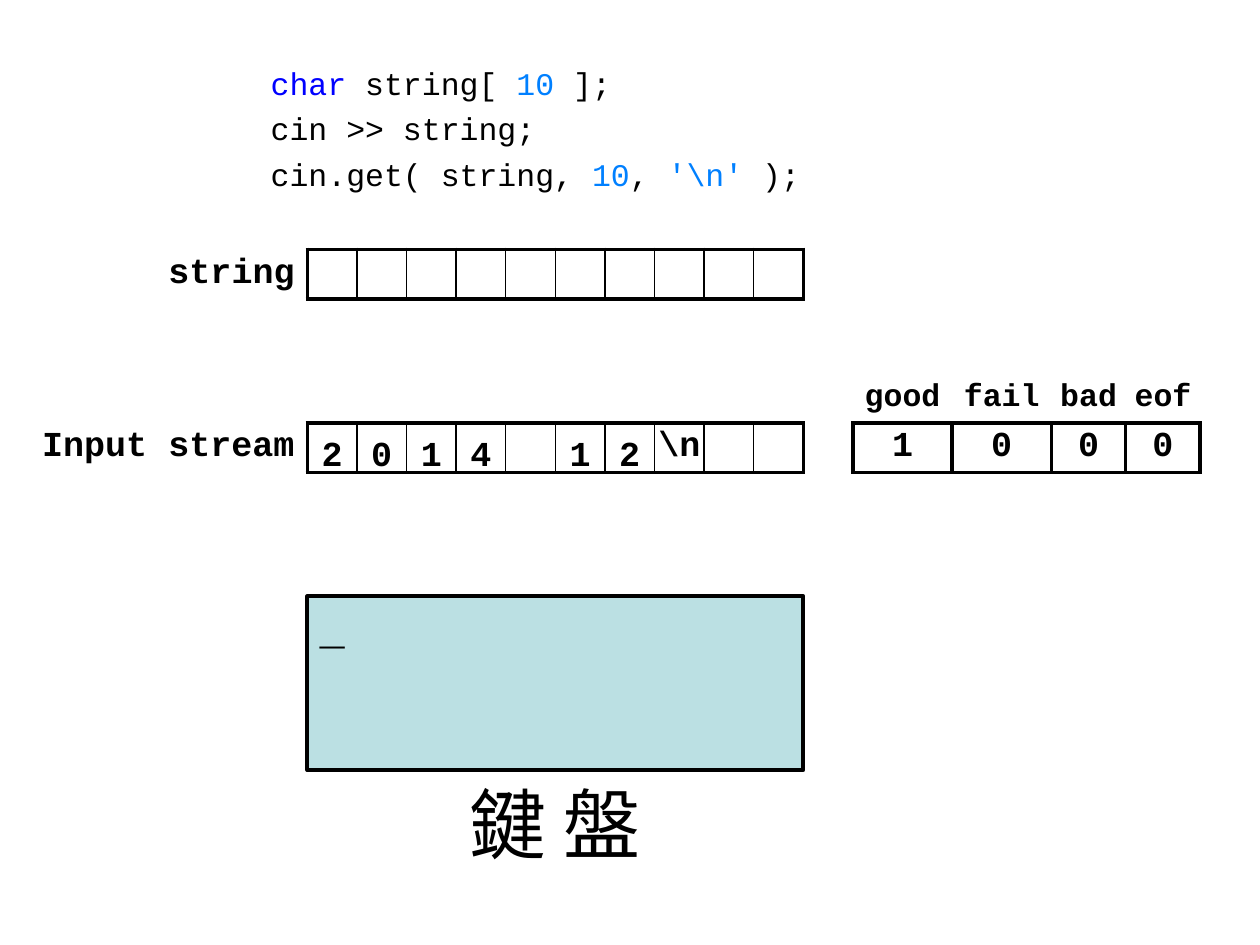
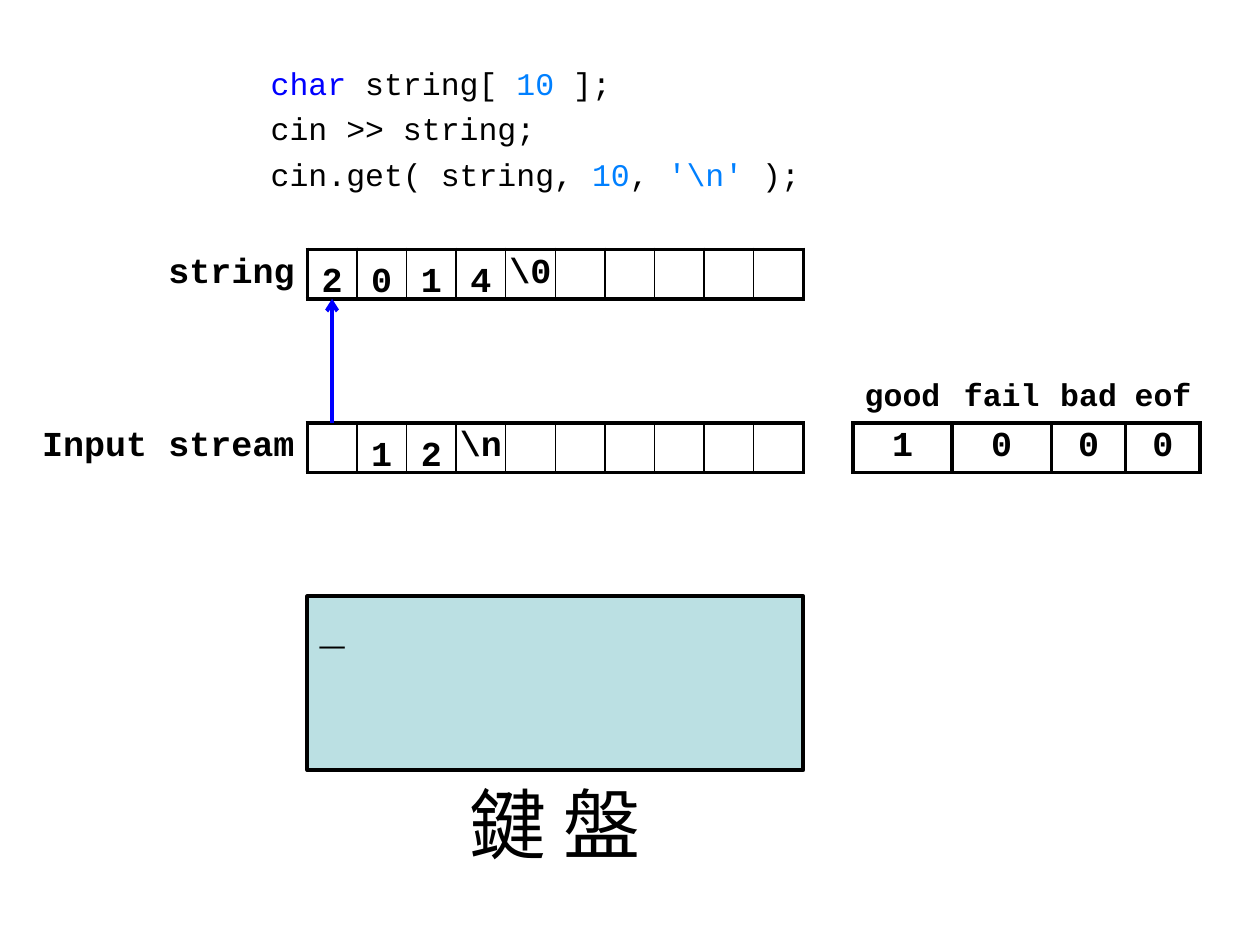
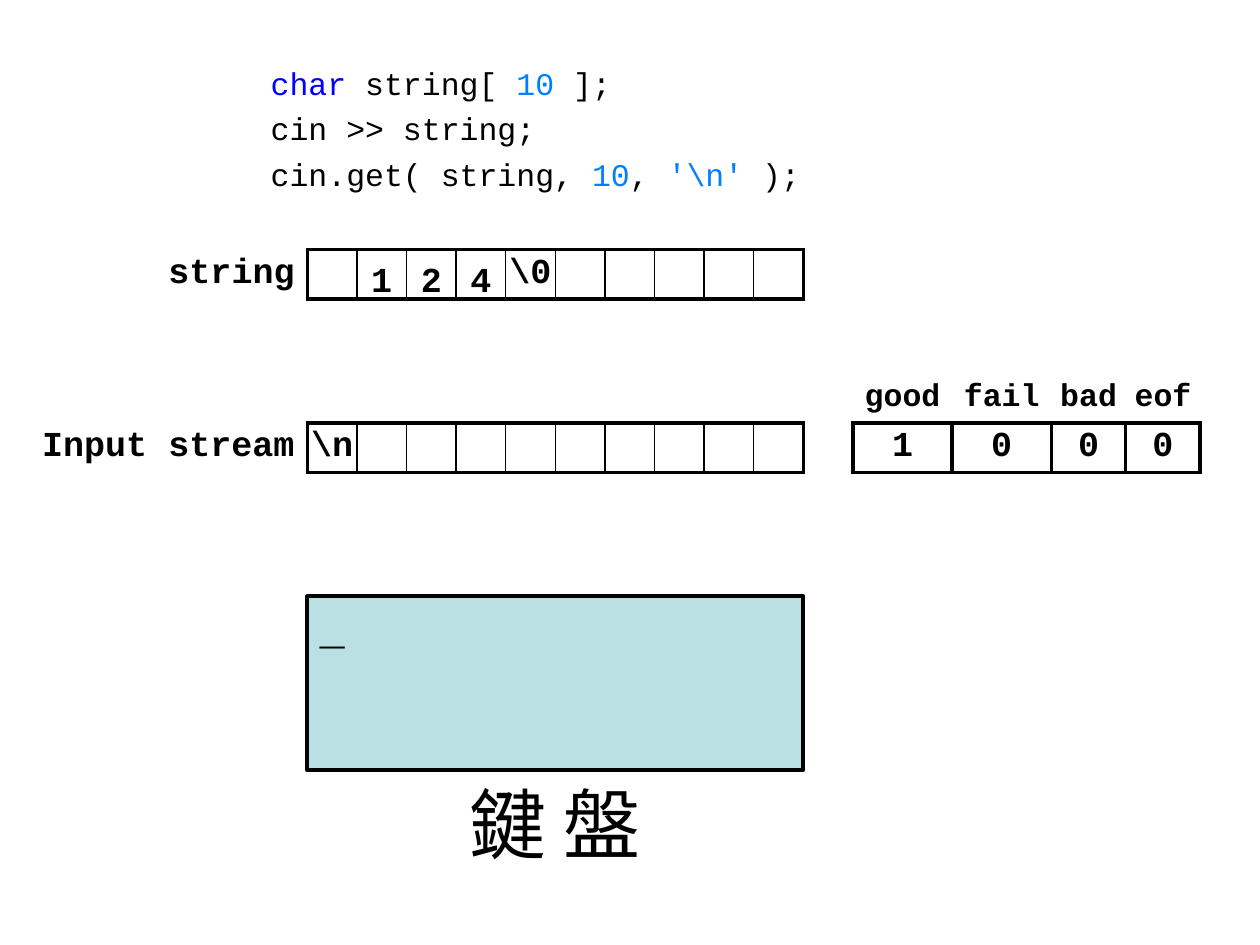
import pptx
import pptx.dml.color
import pptx.enum.shapes
import pptx.enum.text
import pptx.oxml
import pptx.oxml.ns
import pptx.util
from lxml import etree

Pt = pptx.util.Pt
RGBColor = pptx.dml.color.RGBColor
Align = pptx.enum.text.PP_ALIGN
Anchor = pptx.enum.text.MSO_ANCHOR
qn = pptx.oxml.ns.qn

BLACK = RGBColor(0x00, 0x00, 0x00)
KEYWORD = RGBColor(0x00, 0x00, 0xFF)
LITERAL = RGBColor(0x00, 0x80, 0xFF)
KEYBOARD_FILL = RGBColor(0xBB, 0xE0, 0xE3)
MONO = "Courier New"
CJK = "Noto Sans CJK SC"

# Content: one state per slide; escapes sit in table cells, digits float above
CODE = [
    [("char", KEYWORD), (" string[ ", BLACK), ("10", LITERAL), (" ];", BLACK)],
    [("cin >> string;", BLACK)],
    [("cin.get( string, ", BLACK), ("10", LITERAL), (", ", BLACK),
     ("'\\n'", LITERAL), (" );", BLACK)],
]
FLAGS = [("good", "1", 2), ("fail", "0", 2), ("bad", "0", 1.5), ("eof", "0", 1.5)]
STATES = [
    {"string": [], "stream": ["2", "0", "1", "4", "", "1", "2", "\\n"], "arrow": False},
    {"string": ["2", "0", "1", "4", "\\0"], "stream": ["", "1", "2", "\\n"], "arrow": True},
    {"string": ["", "1", "2", "4", "\\0"], "stream": ["\\n"], "arrow": False},
]

# Layout: everything follows the size of one array cell
SLOTS = 10
CELL = 28.35
BLOCK = 3.5 * CELL
ARRAY_LEFT = 175.6
STRING_TOP = 142.4
STREAM_TOP = STRING_TOP + BLOCK
KEYBOARD_TOP = STREAM_TOP + BLOCK
THICK, THIN = 2.25, 1
NO_STYLE = "{2D5ABB26-0587-4C30-8999-92F81FD0307C}"


def write_text(frame, text, size=20, bold=True, font=MONO, color=BLACK,
               align=Align.LEFT, space_before=0):
    """Text is a string, or a list of paragraphs made of (text, color) runs."""
    paragraphs = [[(text, color)]] if isinstance(text, str) else text
    for index, runs in enumerate(paragraphs):
        paragraph = frame.add_paragraph() if index else frame.paragraphs[0]
        paragraph.alignment = align
        if index:
            paragraph.space_before = Pt(space_before)
        for run_text, run_color in runs:
            run = paragraph.add_run()
            run.text = run_text
            run.font.size = Pt(size)
            run.font.bold = bold
            run.font.name = font
            run.font.color.rgb = run_color
            etree.SubElement(run.font._element, qn("a:ea"), typeface=font)


def set_frame(frame, margins=(7.2, 3.6, 7.2, 3.6), anchor=Anchor.TOP, wrap=True):
    frame.margin_left, frame.margin_top, frame.margin_right, frame.margin_bottom = map(Pt, margins)
    frame.vertical_anchor = anchor
    frame.word_wrap = wrap
    return frame


def add_text(slide, box, text, margins=(7.2, 3.6, 7.2, 3.6), anchor=Anchor.TOP,
             wrap=True, **text_format):
    frame = slide.shapes.add_textbox(*map(Pt, box)).text_frame
    write_text(set_frame(frame, margins, anchor, wrap), text, **text_format)


def add_plain_table(slide, left, top, widths, row_count):
    frame = slide.shapes.add_table(row_count, len(widths), Pt(left), Pt(top),
                                   Pt(sum(widths)), Pt(CELL * row_count))
    table = frame.table
    table.first_row = table.horz_banding = False
    table._tbl.tblPr.find(qn("a:tableStyleId")).text = NO_STYLE
    for column, width in zip(table.columns, widths):
        column.width = Pt(width)
    for row in table.rows:
        row.height = Pt(CELL)
    for cell in table.iter_cells():
        cell.fill.background()
        cell.margin_left = cell.margin_top = cell.margin_right = cell.margin_bottom = 0
        cell.vertical_anchor = Anchor.MIDDLE
    return table


def set_borders(cell, left=THICK, right=THICK):
    properties = cell._tc.get_or_add_tcPr()
    edges = [("L", left), ("R", right), ("T", THICK), ("B", THICK)]
    for position, (side, width) in enumerate(edges):
        line = etree.Element(qn("a:ln" + side), w=str(Pt(width)))
        fill = etree.SubElement(line, qn("a:solidFill"))
        etree.SubElement(fill, qn("a:srgbClr"), val=str(BLACK))
        properties.insert(position, line)


def fill_array(table, row, label, values):
    """Write the label in the first column and the bordered slots after it."""
    label_cell = table.cell(row, 0)
    label_cell.margin_right = Pt(7.2)
    write_text(label_cell.text_frame, label, align=Align.RIGHT)
    for slot in range(SLOTS):
        cell = table.cell(row, slot + 1)
        set_borders(cell, THIN if slot else THICK, THIN if slot < SLOTS - 1 else THICK)
        if slot < len(values) and len(values[slot]) > 1:
            write_text(cell.text_frame, values[slot], align=Align.CENTER)


def add_string(slide, values):
    label_width = 3 * CELL
    table = add_plain_table(slide, ARRAY_LEFT - label_width, STRING_TOP,
                            [label_width] + [CELL] * SLOTS, 1)
    fill_array(table, 0, "string", values)


def add_stream(slide, values):
    label_width = 5.5 * CELL
    flag_widths = [cells * CELL for _, _, cells in FLAGS]
    table = add_plain_table(slide, ARRAY_LEFT - label_width, STREAM_TOP - CELL,
                            [label_width] + [CELL] * (SLOTS + 1) + flag_widths, 2)
    fill_array(table, 1, "Input stream", values)
    for column, (name, value, _) in enumerate(FLAGS, start=SLOTS + 2):
        write_text(table.cell(0, column).text_frame, name, size=18, align=Align.CENTER)
        write_text(table.cell(1, column).text_frame, value, align=Align.CENTER)
        set_borders(table.cell(1, column))


def add_digits(slide, top, values):
    for slot, value in enumerate(values):
        if len(value) == 1:
            add_text(slide, (ARRAY_LEFT + slot * CELL, top, CELL, CELL), value,
                     margins=(0, 5.7, 0, 0), anchor=Anchor.MIDDLE, align=Align.CENTER)


def add_keyboard(slide):
    box = (ARRAY_LEFT, KEYBOARD_TOP, SLOTS * CELL, BLOCK)
    shape = slide.shapes.add_shape(pptx.enum.shapes.MSO_SHAPE.RECTANGLE, *map(Pt, box))
    shape.shadow.inherit = False
    shape.fill.solid()
    shape.fill.fore_color.rgb = KEYBOARD_FILL
    shape.line.color.rgb = BLACK
    shape.line.width = Pt(THICK)
    write_text(set_frame(shape.text_frame, wrap=False), "_", size=24)


def add_arrow(slide):
    x = Pt(ARRAY_LEFT + CELL / 2)
    arrow = slide.shapes.add_connector(pptx.enum.shapes.MSO_CONNECTOR.STRAIGHT,
                                       x, Pt(STREAM_TOP), x, Pt(STRING_TOP + CELL))
    arrow.line.color.rgb = KEYWORD
    arrow.line.width = Pt(THICK)
    etree.SubElement(arrow.line._get_or_add_ln(), qn("a:tailEnd"), type="arrow")
    etree.SubElement(arrow._element.spPr, qn("a:effectLst"))


def build_slide(presentation, state):
    slide = presentation.slides.add_slide(presentation.slide_layouts[6])
    # Caption and code
    caption_width = 5 * CELL
    caption_left = ARRAY_LEFT + (SLOTS * CELL - caption_width) / 2
    add_text(slide, (caption_left, KEYBOARD_TOP + BLOCK, caption_width, 70.6), "鍵 盤",
             size=44, bold=False, font=CJK, wrap=False, align=Align.CENTER)
    add_text(slide, (147.6, 28.8, 326.2, 85), CODE, margins=(7.2, 7.6, 2.9, 3.6),
             size=18, bold=False, space_before=4.5)
    # Arrays, flags and keyboard
    add_stream(slide, state["stream"])
    add_string(slide, state["string"])
    add_keyboard(slide)
    # Digits and the copy arrow
    add_digits(slide, STRING_TOP, state["string"])
    add_digits(slide, STREAM_TOP, state["stream"])
    if state["arrow"]:
        add_arrow(slide)


def main():
    presentation = pptx.Presentation()
    presentation.slide_width, presentation.slide_height = Pt(720), Pt(540)
    for state in STATES:
        build_slide(presentation, state)
    presentation.save("out.pptx")


if __name__ == "__main__":
    main()
